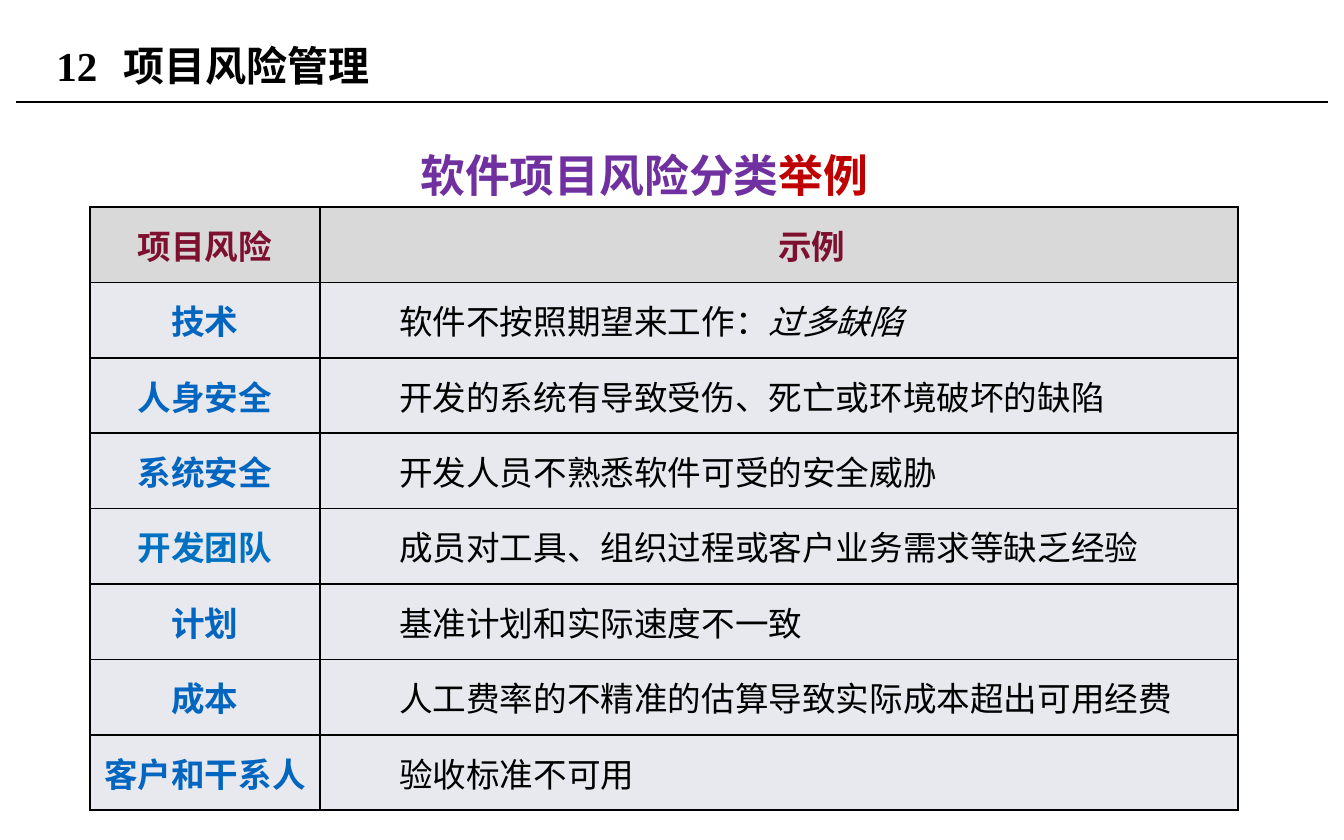
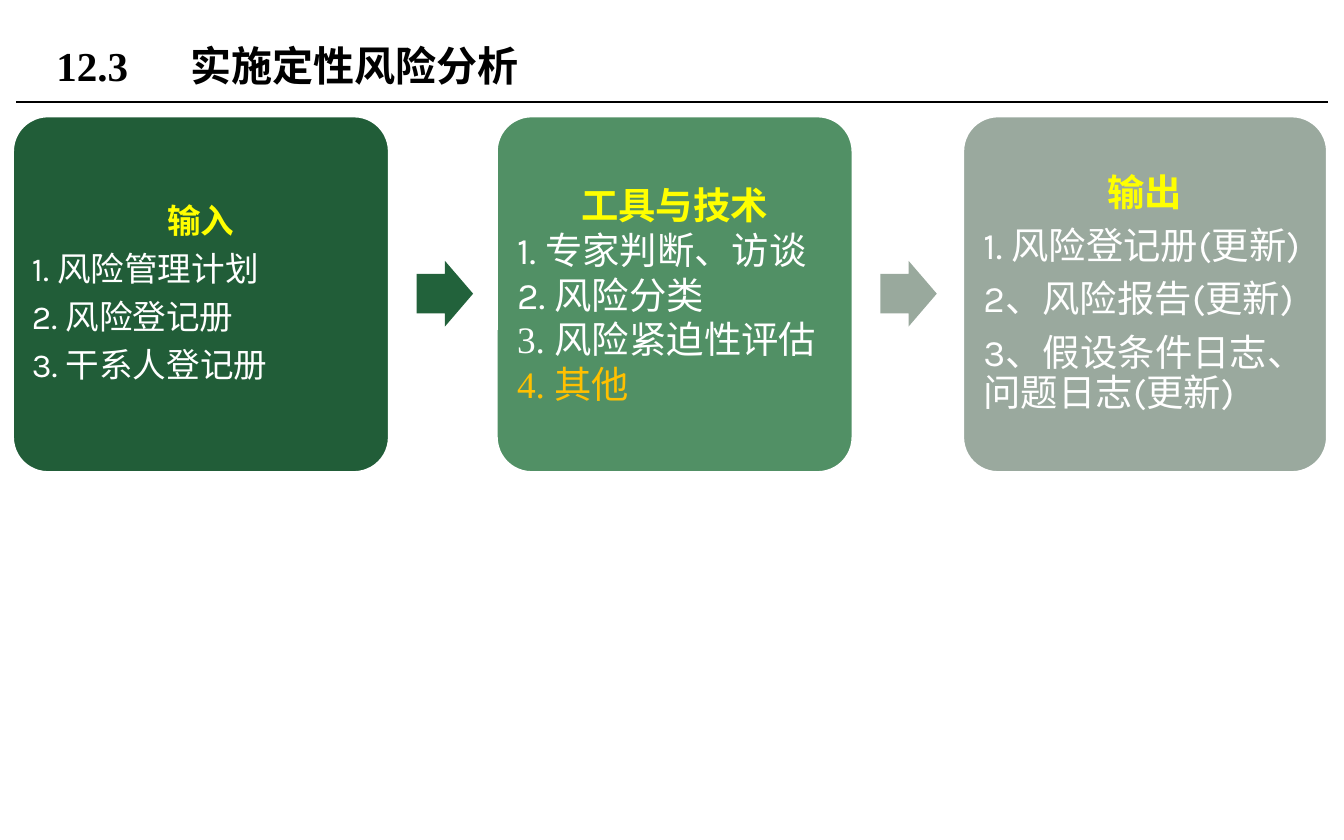
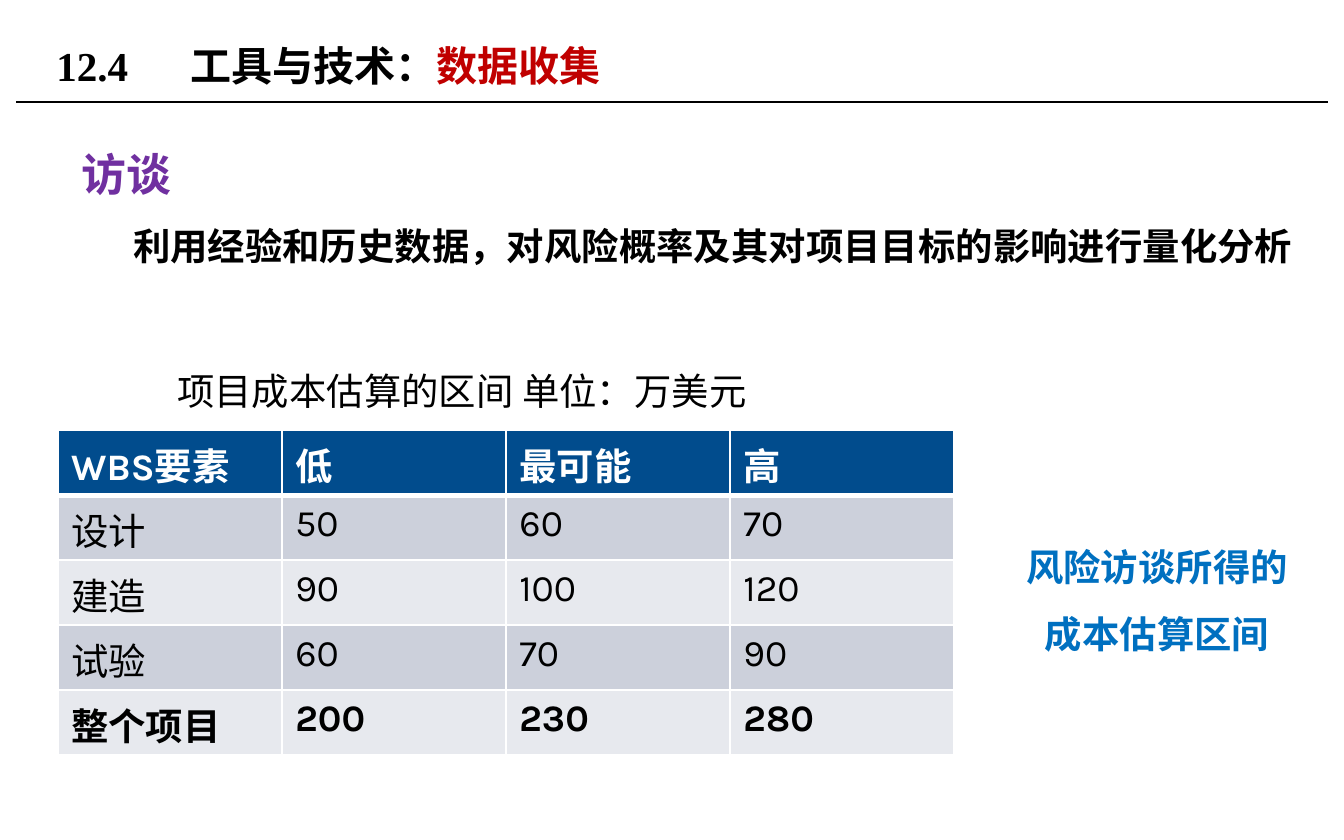
"""Build three slides on project risk management."""
from dataclasses import dataclass
from typing import Optional

from lxml import etree
from pptx import Presentation
from pptx.dml.color import RGBColor
from pptx.enum.shapes import MSO_CONNECTOR, MSO_SHAPE
from pptx.enum.text import MSO_ANCHOR, MSO_AUTO_SIZE, PP_ALIGN
from pptx.oxml.ns import qn
from pptx.util import Inches, Pt

LEFT, CENTER = PP_ALIGN.LEFT, PP_ALIGN.CENTER
TOP, MIDDLE = MSO_ANCHOR.TOP, MSO_ANCHOR.MIDDLE
NO_AUTOFIT = MSO_AUTO_SIZE.NONE
ROUND_BOX, RIGHT_ARROW = MSO_SHAPE.ROUNDED_RECTANGLE, MSO_SHAPE.RIGHT_ARROW
STRAIGHT = MSO_CONNECTOR.STRAIGHT

SERIF, SANS, CJK = "Times New Roman", "Karla", "Noto Sans CJK SC"
BLACK, WHITE, YELLOW, ORANGE = "000000", "FFFFFF", "FFFF00", "FFC000"
PURPLE, RED, MAROON = "7030A0", "C00000", "7E102F"
BLUE, BRIGHT_BLUE, NAVY = "0265BF", "0070C0", "014C8D"
GREY, BAND_DARK, BAND_LIGHT = "D9D9D9", "CCD0DB", "E7E9EE"


@dataclass
class Run:
    """A stretch of text in one format."""
    text: str
    size: float
    color: str = BLACK
    font: str = SERIF
    bold: bool = False
    italic: bool = False


@dataclass
class Para:
    """A paragraph with its spacing in points and indents in inches."""
    runs: list[Run]
    align: PP_ALIGN = LEFT
    line: float = 1.0
    after: float = 0
    left: float = 0
    first: float = 0
    tab: Optional[float] = None


@dataclass
class Box:
    """A place on the slide in inches."""
    left: float
    top: float
    width: float
    height: float

    def lengths(self) -> list:
        """Return the four lengths in drawing order."""
        return [Inches(v) for v in (self.left, self.top, self.width, self.height)]


@dataclass
class Stage:
    """A step of the process and the colour of the arrow after it."""
    left: float
    width: float
    fill: str
    margin: float
    paras: list[Para]
    arrow: Optional[str] = None


@dataclass
class Cell:
    """A table cell."""
    para: Para
    fill: str
    anchor: MSO_ANCHOR = TOP
    border: str = BLACK
    bottom: float = 1


def rgb(color: str) -> RGBColor:
    """Turn a hex string into a colour."""
    return RGBColor.from_string(color)


def add_run(p, run: Run) -> None:
    """Add one formatted run to a paragraph."""
    r = p.add_run()
    r.text = run.text
    values = {"size": Pt(run.size), "name": run.font, "bold": run.bold, "italic": run.italic}
    for name, value in values.items():
        setattr(r.font, name, value)
    r.font.color.rgb = rgb(run.color)
    etree.SubElement(r._r.get_or_add_rPr(), qn("a:ea"), typeface=CJK)


def write(tf, paras: list[Para]) -> None:
    """Fill a text frame with paragraphs."""
    for i, para in enumerate(paras):
        p = tf.add_paragraph() if i else tf.paragraphs[0]
        pPr = p._p.get_or_add_pPr()
        pPr.set("marL", str(Inches(para.left)))
        pPr.set("indent", str(Inches(para.first)))
        etree.SubElement(pPr, qn("a:buNone"))
        if para.tab:
            tabs = etree.SubElement(pPr, qn("a:tabLst"))
            etree.SubElement(tabs, qn("a:tab"), pos=str(Inches(para.tab)), algn="l")
        values = {"alignment": para.align, "line_spacing": para.line,
                  "space_before": Pt(0), "space_after": Pt(para.after)}
        for name, value in values.items():
            setattr(p, name, value)
        for run in para.runs:
            add_run(p, run)


def place(sp, box: Box) -> None:
    """Move a placeholder to a box."""
    for name, value in zip(("left", "top", "width", "height"), box.lengths()):
        setattr(sp, name, value)
    sp.text_frame.auto_size = NO_AUTOFIT


def add_slide(prs, layout: int, number: str, title: str, tab: float,
              accent: str = "", width: float = 6.38):
    """Add a slide with its numbered title."""
    s = prs.slides.add_slide(prs.slide_layouts[layout])
    place(s.shapes.title, Box(0.32, 0.13, width, 0.71))
    s.shapes.title.text_frame.vertical_anchor = MIDDLE
    runs = [Run(f"{number}\t{title}", 22, bold=True)]
    if accent:
        runs.append(Run(accent, 22, RED, bold=True))
    write(s.shapes.title.text_frame, [Para(runs, tab=tab)])
    return s


def add_title_rule(prs, s) -> None:
    """Draw the line under the title and hand it to the master."""
    rule = s.shapes.add_connector(STRAIGHT, Inches(0.12), Inches(0.76), Inches(9.88), Inches(0.76))
    rule.line.color.rgb = rgb(BLACK)
    rule.line.width = Pt(0.75)
    etree.SubElement(rule._element.spPr, qn("a:effectLst"))
    prs.slide_master.shapes.element.append(rule._element)


def add_text(s, box: Box, para: Para, wrap: bool = True) -> None:
    """Add a text box with one paragraph."""
    tf = s.shapes.add_textbox(*box.lengths()).text_frame
    tf.word_wrap = wrap
    write(tf, [para])


def add_shape(s, kind: MSO_SHAPE, box: Box, fill: str, adjustments: list[float]):
    """Add a filled preset shape without line or shadow."""
    sp = s.shapes.add_shape(kind, *box.lengths())
    sp.shadow.inherit = False
    sp.fill.solid()
    sp.fill.fore_color.rgb = rgb(fill)
    sp.line.fill.background()
    for i, value in enumerate(adjustments):
        sp.adjustments[i] = value
    return sp


def add_stage(s, stage: Stage) -> None:
    """Draw a process box with its text and the arrow after it."""
    box = Box(stage.left, 0.86, stage.width, 2.66)
    sp = add_shape(s, ROUND_BOX, box, stage.fill, [0.1])
    sp.line.color.rgb = rgb(WHITE)
    sp.line.width = Pt(2)
    tf = sp.text_frame
    tf.word_wrap = True
    tf.vertical_anchor = MIDDLE
    for side in ("left", "top", "right", "bottom"):
        setattr(tf, f"margin_{side}", Inches(stage.margin))
    write(tf, stage.paras)
    if stage.arrow:
        arrow = Box(box.left + box.width + 0.2, 1.94, 0.42, 0.49)
        add_shape(s, RIGHT_ARROW, arrow, stage.arrow, [0.6, 0.5])


def set_border(tcPr, side: str, color: str, width: float) -> None:
    """Add one border to a cell."""
    ln = etree.SubElement(tcPr, qn(f"a:ln{side}"), w=str(Pt(width)))
    fill = etree.SubElement(ln, qn("a:solidFill"))
    etree.SubElement(fill, qn("a:srgbClr"), val=color)


def add_table(s, box: Box, widths: list[float], rows: list[list[Cell]]) -> None:
    """Add a table with rows of equal height."""
    table = s.shapes.add_table(len(rows), len(widths), *box.lengths()).table
    for column, width in zip(table.columns, widths):
        column.width = Inches(width)
    for i, row in enumerate(rows):
        table.rows[i].height = Inches(box.height / len(rows))
        for j, cell in enumerate(row):
            tc = table.cell(i, j)
            for side in "LRT":
                set_border(tc._tc.get_or_add_tcPr(), side, cell.border, 1)
            set_border(tc._tc.get_or_add_tcPr(), "B", cell.border, cell.bottom)
            tc.fill.solid()
            tc.fill.fore_color.rgb = rgb(cell.fill)
            tc.vertical_anchor = cell.anchor
            write(tc.text_frame, [cell.para])


def risk_row(name: str, example: str, detail: str = "", color: str = BLUE) -> list[Cell]:
    """Make a row of the risk table."""
    runs = [Run(example, 18, font=SANS)]
    if detail:
        runs.append(Run(detail, 18, font=SANS, italic=True))
    return [Cell(Para([Run(name, 18, color, SANS, True)], CENTER), BAND_LIGHT, MIDDLE),
            Cell(Para(runs, first=0.49), BAND_LIGHT, MIDDLE)]


def build_risk_types(prs) -> None:
    """Build the slide with examples of risk types."""
    s = add_slide(prs, 5, "12", "项目风险管理", 0.53, width=7.28)
    add_title_rule(prs, s)
    add_text(s, Box(3.03, 0.85, 4.13, 0.64), Para(
        [Run("软件项目风险分类", 24, PURPLE, bold=True), Run("举例", 24, RED, bold=True)], line=1.5))
    header = [Cell(Para([Run("项目风险", 18, MAROON, SANS, True)], CENTER), GREY, MIDDLE),
              Cell(Para([Run("示例", 18, MAROON, CJK, True)], CENTER, first=0.49), GREY, MIDDLE)]
    add_table(s, Box(0.67, 1.54, 8.54, 4.49), [1.71, 6.83], [
        header,
        risk_row("技术", "软件不按照期望来工作：", "过多缺陷"),
        risk_row("人身安全", "开发的系统有导致受伤、死亡或环境破坏的缺陷"),
        risk_row("系统安全", "开发人员不熟悉软件可受的安全威胁"),
        risk_row("开发团队", "成员对工具、组织过程或客户业务需求等缺乏经验", color=BRIGHT_BLUE),
        risk_row("计划", "基准计划和实际速度不一致"),
        risk_row("成本", "人工费率的不精准的估算导致实际成本超出可用经费"),
        risk_row("客户和干系人", "验收标准不可用"),
    ])


def stage_paras(size: float, heading: str, items: list[str]) -> list[Para]:
    """Make a spaced heading and the items below it."""
    spacing = {"line": 0.9, "after": 0.35 * size}
    return [Para([Run(heading, size, YELLOW, SANS, True)], CENTER, **spacing),
            *(Para([Run(item, size, WHITE, SANS)], **spacing) for item in items)]


def build_qualitative_analysis(prs) -> None:
    """Build the slide with inputs, tools and outputs."""
    s = add_slide(prs, 5, "12.3", "实施定性风险分析", 0.76)
    tools = [
        Para([Run("工具与技术", 20, YELLOW, SANS, True)], CENTER),
        Para([Run("1. 专家判断、访谈", 20, WHITE, SANS)]),
        Para([Run("2. ", 20, WHITE, SANS), Run("风险分类", 20, WHITE)]),
        Para([Run("3. 风险紧迫性评估", 20, WHITE)]),
        Para([Run("4. 其他", 20, ORANGE)]),
    ]
    inputs = stage_paras(18, "输入", ["1. 风险管理计划", "2. 风险登记册", "3. 干系人登记册"])
    outputs = stage_paras(20, "输出", ["1. 风险登记册(更新)", "2、风险报告(更新)",
                                     "3、假设条件日志、问题日志(更新)"])
    for stage in (Stage(0.09, 2.81, "215D38", 0.07, inputs, "22623B"),
                  Stage(3.69, 2.66, "519065", 0.08, tools, "99A99D"),
                  Stage(7.16, 2.72, "9AA99E", 0.08, outputs)):
        add_stage(s, stage)


def build_interviews(prs) -> None:
    """Build the slide with the cost ranges from interviews."""
    s = add_slide(prs, 1, "12.4", "工具与技术：", 0.76, "数据收集")
    body = s.placeholders[1]
    place(body, Box(0.01, 0.84, 9.8, 3.9))
    write(body.text_frame, [
        Para([Run("访谈", 24, PURPLE, bold=True)], line=1.5, left=0.5),
        Para([Run("利用经验和历史数据，对风险概率及其对项目目标的影响进行量化分析", 20, bold=True)],
             line=1.5, left=0.5, first=0.38),
    ])
    add_text(s, Box(7.51, 3.83, 2.2, 1.05), Para(
        [Run("风险访谈所得的成本估算区间", 20, BRIGHT_BLUE, bold=True)], CENTER, 1.5))
    costs = [("WBS要素", "低", "最可能", "高"), ("设计", "50", "60", "70"),
             ("建造", "90", "100", "120"), ("试验", "60", "70", "90"),
             ("整个项目", "200", "230", "280")]
    rows = []
    for i, values in enumerate(costs):
        header = i == 0
        fill = NAVY if header else BAND_DARK if i % 2 else BAND_LIGHT
        color = WHITE if header else BLACK
        bold = i in (0, len(costs) - 1)
        rows.append([Cell(Para([Run(value, 20, color, SANS, bold)]), fill,
                          border=WHITE, bottom=3 if header else 1) for value in values])
    add_table(s, Box(0.43, 3.2, 6.67, 2.42), [6.67 / 4] * 4, rows)
    add_text(s, Box(1.22, 2.69, 4.48, 0.44),
             Para([Run("项目成本估算的区间 单位：万美元", 20, font=SANS)]), wrap=False)


def main() -> None:
    """Build and save the presentation."""
    prs = Presentation()
    prs.slide_width, prs.slide_height = Inches(10), Inches(6.25)
    build_risk_types(prs)
    build_qualitative_analysis(prs)
    build_interviews(prs)
    prs.save("out.pptx")


if __name__ == "__main__":
    main()
